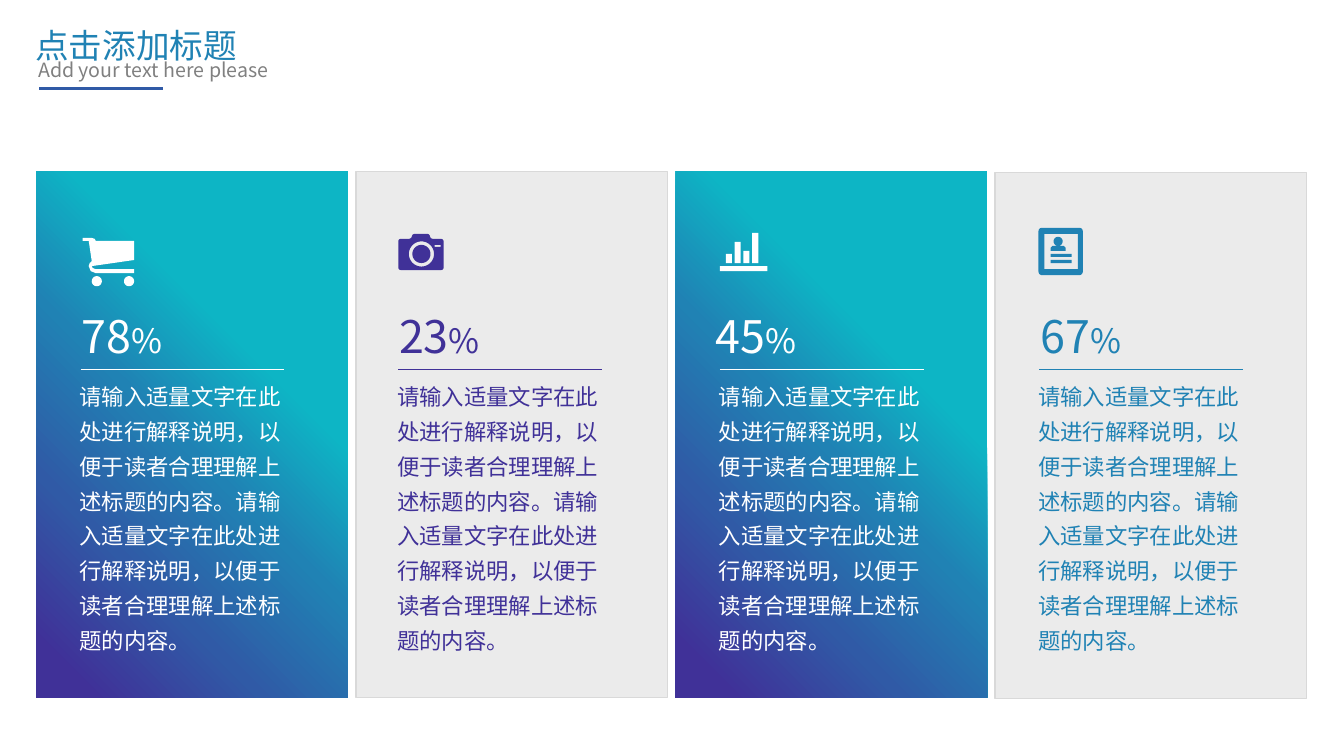
from math import cos, dist, pi, sin

from lxml.etree import SubElement
from pptx import Presentation
from pptx.dml.color import RGBColor
from pptx.enum.shapes import MSO_CONNECTOR as Connector, MSO_SHAPE as Shape
from pptx.enum.text import MSO_ANCHOR as Anchor, MSO_AUTO_SIZE as AutoSize, PP_ALIGN as Align
from pptx.oxml.ns import qn
from pptx.util import Inches, Pt

FONT = "Noto Sans CJK SC"
WHITE, PURPLE, BLUE, NAVY, GRAY = "FFFFFF", "403198", "2082B4", "305AA6", "808080"
PANEL, BORDER = "EBEBEB", "D9D9D9"
GRADIENT = [(8, "0DB5C5"), (33, "0DB5C5"), (52, BLUE), (73, NAVY), (93, PURPLE)]
SENTENCE = "请输入适量文字在此处进行解释说明，以便于读者合理理解上述标题的内容。"


def color(value):
    return RGBColor.from_string(value)


# Text
def write(box, spans, hue, spacing=1.0):
    frame = box.text_frame
    settings = {"word_wrap": True, "auto_size": AutoSize.NONE, "vertical_anchor": Anchor.TOP}
    for name, value in settings.items():
        setattr(frame, name, value)
    para = frame.paragraphs[0]
    para.alignment = Align.LEFT
    para.line_spacing = spacing
    for text, size in spans:
        span = para.add_run()
        span.text = text
        for name, value in {"name": FONT, "size": Pt(size)}.items():
            setattr(span.font, name, value)
        span.font.color.rgb = color(hue)
        SubElement(span.font._element, qn("a:ea"), typeface=FONT)


def add_text(page, left, top, width, height, spans, hue, spacing=1.0):
    box = page.shapes.add_textbox(*map(Inches, (left, top, width, height)))
    write(box, spans, hue, spacing)


def add_title(page, text):
    title = page.shapes.title
    place = {"left": 0.25, "top": 0.2, "width": 2.38, "height": 0.5}
    for name, value in place.items():
        setattr(title, name, Inches(value))
    write(title, [(text, 24)], BLUE)


# Lines and panels
def add_rule(page, left, top, length, hue, weight):
    rule = page.shapes.add_connector(
        Connector.STRAIGHT, Inches(left), Inches(top), Inches(left + length), Inches(top))
    rule.line.color.rgb = color(hue)
    rule.line.width = Pt(weight)
    SubElement(rule._element.spPr, qn("a:effectLst"))


def fill_gradient(panel):
    panel.fill.gradient()
    panel.fill.gradient_angle = 225
    stops = panel._element.spPr.find(".//" + qn("a:gsLst"))
    stops.clear()
    for percent, hue in GRADIENT:
        stop = SubElement(stops, qn("a:gs"), pos=str(percent * 1000))
        SubElement(stop, qn("a:srgbClr"), val=hue)


def add_panel(page, left, top, colorful):
    panel = page.shapes.add_shape(
        Shape.RECTANGLE, Inches(left), Inches(top), Inches(3.09), Inches(5.22))
    panel.shadow.inherit = False
    if colorful:
        fill_gradient(panel)
        panel.line.fill.background()
    else:
        panel.fill.solid()
        panel.fill.fore_color.rgb = color(PANEL)
        panel.line.color.rgb = color(BORDER)
        panel.line.width = Pt(1)


# Icon outlines, in inches on the page
def rect(left, top, right, bottom):
    return [(left, top), (right, top), (right, bottom), (left, bottom)]


def circle(x, y, radius, steps=40):
    angles = [2 * pi * step / steps for step in range(steps)]
    return [(x + radius * cos(angle), y + radius * sin(angle)) for angle in angles]


def rounded(corners, radius, steps=6):
    points = []
    for index, corner in enumerate(corners):
        ends = []
        for other in (corners[index - 1], corners[(index + 1) % len(corners)]):
            share = min(radius / dist(corner, other), 0.5)
            ends.append([c + (o - c) * share for c, o in zip(corner, other)])
        for step in range(steps + 1):
            t = step / steps
            points.append(tuple((1 - t) ** 2 * a + 2 * t * (1 - t) * c + t ** 2 * b
                                for a, c, b in zip(ends[0], corner, ends[1])))
    return points


def cart():
    basket = [(1.33, 2.58), (1.33, 2.39), (0.95, 2.39), (0.94, 2.37), (0.91, 2.36),
              (0.82, 2.36), (0.82, 2.39), (0.88, 2.39), (0.91, 2.59), (0.89, 2.61),
              (0.88, 2.64), (0.9, 2.69), (0.95, 2.71), (1.33, 2.71), (1.33, 2.67),
              (0.95, 2.67), (0.92, 2.66), (0.91, 2.64)]
    return [basket, circle(0.96, 2.79, 0.05), circle(1.28, 2.79, 0.05)]


def camera():
    body = [(3.95, 2.37), (4.08, 2.37), (4.09, 2.32), (4.26, 2.32), (4.27, 2.37),
            (4.4, 2.37), (4.4, 2.68), (3.95, 2.68)]
    return [rounded(body, 0.03), circle(4.18, 2.52, 0.125), circle(4.18, 2.52, 0.09),
            rect(4.31, 2.43, 4.37, 2.45)]


def bar_chart():
    tops = [2.52, 2.4, 2.49, 2.31]
    bars = [rect(7.2 + 0.087 * i, top, 7.26 + 0.087 * i, 2.61) for i, top in enumerate(tops)]
    return [rect(7.14, 2.64, 7.61, 2.69)] + bars


def profile():
    shoulders = [(10.42, 2.49), (10.42, 2.46), (10.44, 2.44), (10.55, 2.44),
                 (10.57, 2.46), (10.57, 2.49)]
    return [rounded(rect(10.3, 2.26, 10.74, 2.73), 0.04), rect(10.36, 2.32, 10.69, 2.67),
            rect(10.42, 2.52, 10.63, 2.55), rect(10.42, 2.58, 10.63, 2.61),
            circle(10.495, 2.395, 0.045), shoulders]


def add_icon(page, outlines, hue):
    outlines = [[(Inches(x), Inches(y)) for x, y in outline] for outline in outlines]
    builder = page.shapes.build_freeform(*outlines[0][0])
    for number, outline in enumerate(outlines):
        if number:
            builder.move_to(*outline[0])
        builder.add_line_segments(outline[1:], close=True)
    icon = builder.convert_to_shape()
    icon.shadow.inherit = False
    icon.fill.solid()
    icon.fill.fore_color.rgb = color(hue)
    icon.line.fill.background()


def main():
    deck = Presentation()
    deck.slide_width, deck.slide_height = Inches(13.33), Inches(7.5)
    page = deck.slides.add_slide(deck.slide_layouts[5])

    # Heading
    add_rule(page, 0.39, 0.88, 1.23, NAVY, 2)
    add_title(page, "点击添加标题")
    add_text(page, 0.28, 0.53, 2.68, 0.34, [("Add your text here please", 14)], GRAY)

    # Cards: value, colour, icon, panel top, number left, rule left
    cards = [
        ("78", WHITE, cart(), 1.7, 0.71, 0.8),
        ("23", PURPLE, camera(), 1.7, 3.86, 3.95),
        ("45", WHITE, bar_chart(), 1.7, 7.0, 7.14),
        ("67", BLUE, profile(), 1.71, 10.22, 10.31),
    ]
    for index, (value, hue, icon, top, number_left, rule_left) in enumerate(cards):
        add_panel(page, 0.36 + 3.17 * index, top, hue == WHITE)
        add_icon(page, icon, hue)
        add_text(page, number_left, 3.01, 2.14, 0.64, [(value, 32), ("%", 24)], hue)
        add_rule(page, rule_left, 3.66, 2.02, hue, 0.5)
        add_text(page, rule_left - 0.11, 3.67, 2.28, 2.9, [(SENTENCE * 2, 16)], hue, 1.3)

    deck.save("out.pptx")


if __name__ == "__main__":
    main()
